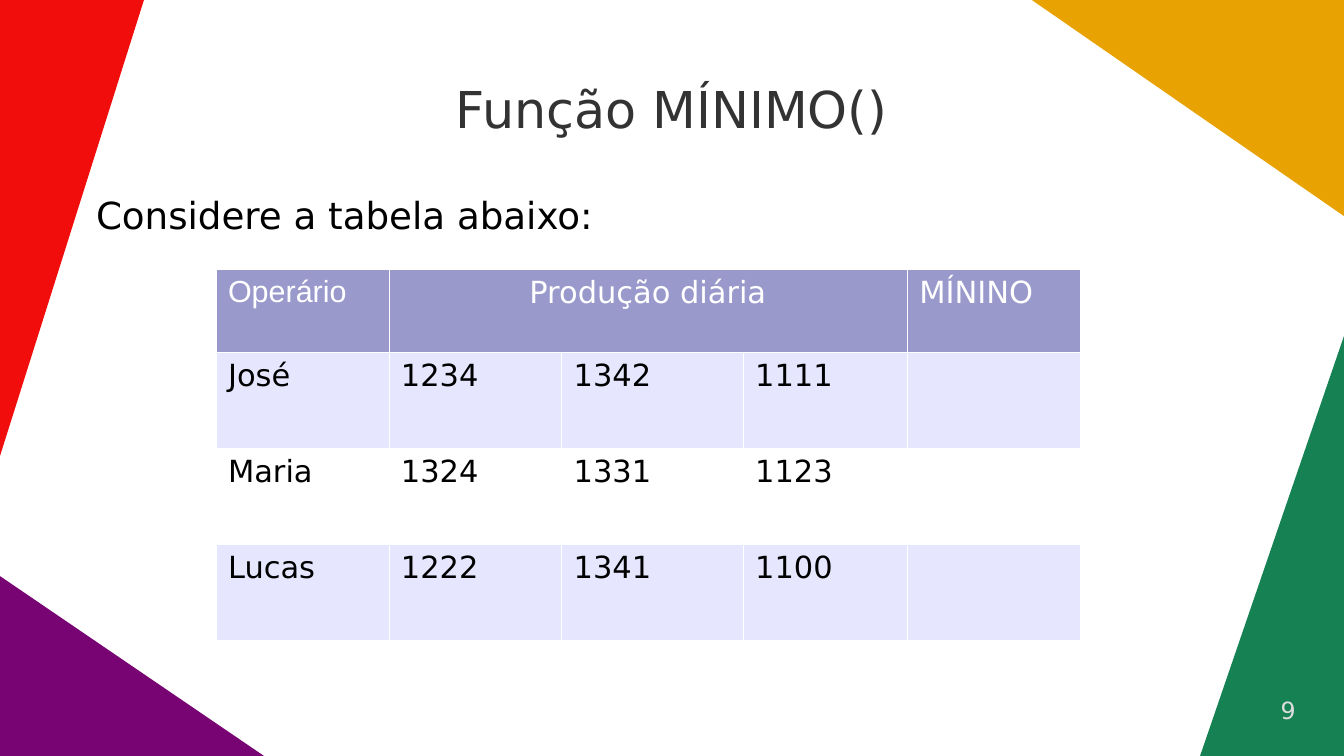
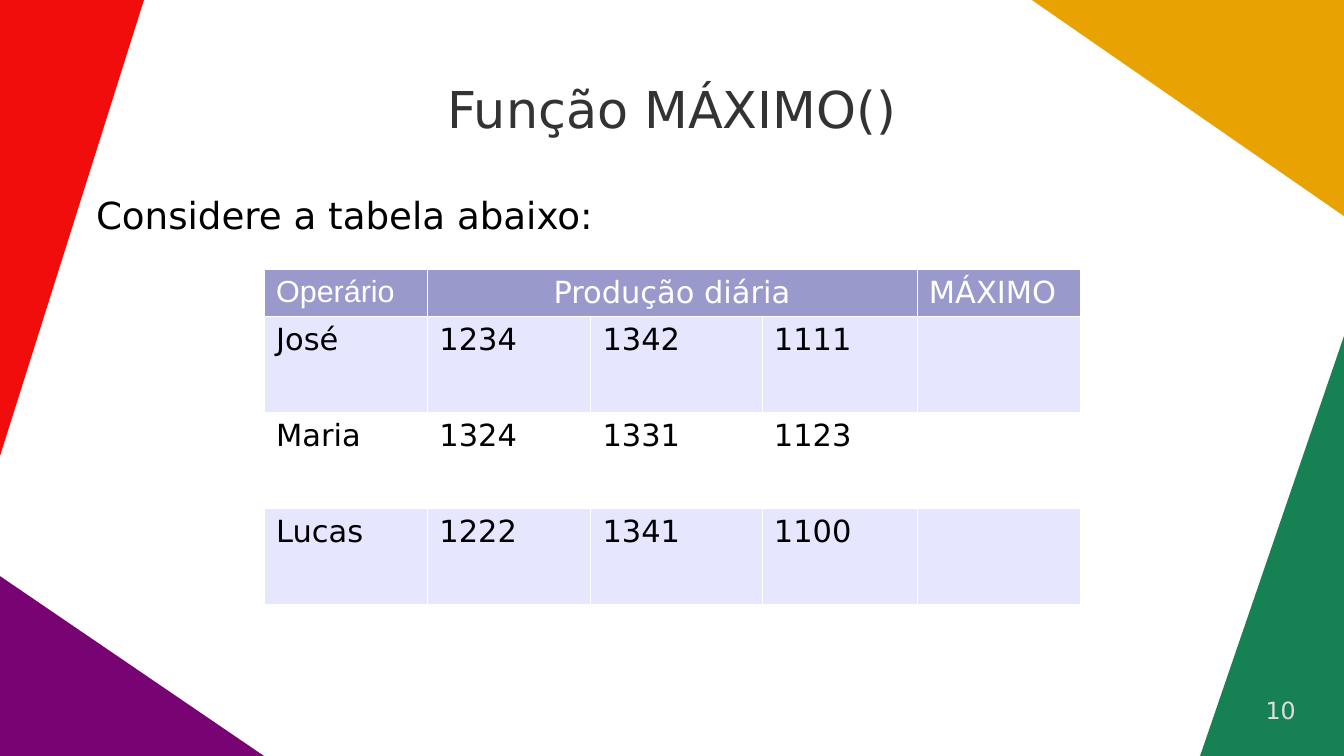
from pptx import Presentation
from pptx.dml.color import RGBColor
from pptx.enum.text import MSO_ANCHOR, MSO_AUTO_SIZE, PP_ALIGN
from pptx.oxml import parse_xml
from pptx.oxml.ns import nsdecls, qn
from pptx.util import Pt

WIDTH, HEIGHT = 793.7, 446.46
MARGIN = 56.7
CONTENT_WIDTH = WIDTH - 2 * MARGIN
FONT = "DejaVu Sans"

WHITE, BLACK = "FFFFFF", "000000"
TITLE_COLOR, NUMBER_COLOR = "333333", "DDDDDD"
HEADER_FILL, BAND_FILL = "9999CC", "E6E6FF"

CORNERS = [
    ("780373", [(0, 340.2), (0, HEIGHT), (156, HEIGHT)]),
    ("F10D0C", [(0, 0), (0, 269.3), (85, 0)]),
    ("E8A202", [(WIDTH, 0), (609.4, 0), (WIDTH, 127.6)]),
    ("168253", [(WIDTH, HEIGHT), (WIDTH, 198.4), (708.7, HEIGHT)]),
]

TABLE_TOP, TABLE_RIGHT, TABLE_HEIGHT = 158.8, 637.8, 254.2
COLUMN_SHARES = (0.2, 0.2, 0.21, 0.19, 0.2)
WORKER_ROW_HEIGHT = 56.7
PRODUCTION = [
    ("José", "1234", "1342", "1111", ""),
    ("Maria", "1324", "1331", "1123", ""),
    ("Lucas", "1222", "1341", "1100", ""),
]


def rgb(color):
    return RGBColor.from_string(color)


def style_paragraph(p, size, color, align=PP_ALIGN.LEFT, font=FONT):
    p.alignment = align
    p.font.name = font
    p.font.size = Pt(size)
    p.font.bold = False
    p.font.color.rgb = rgb(color)


def fill_frame(tf, text, size, color, align, anchor=MSO_ANCHOR.TOP):
    """Write one paragraph into a text frame without insets."""
    tf.word_wrap = True
    tf.auto_size = MSO_AUTO_SIZE.NONE
    tf.margin_left = tf.margin_right = tf.margin_top = tf.margin_bottom = 0
    tf.vertical_anchor = anchor
    tf.text = text
    style_paragraph(tf.paragraphs[0], size, color, align)


def add_text(slide, box, text, size, color, align=PP_ALIGN.LEFT):
    sp = slide.shapes.add_textbox(*map(Pt, box))
    fill_frame(sp.text_frame, text, size, color, align)


def set_title(slide, text):
    title = slide.shapes.title
    title.left, title.top = Pt(MARGIN), Pt(28.2)
    title.width, title.height = Pt(CONTENT_WIDTH), Pt(70.9)
    fill_frame(title.text_frame, text, 30, TITLE_COLOR, PP_ALIGN.CENTER,
               MSO_ANCHOR.MIDDLE)


def move_corners_to_layout(slide):
    """Build the corner triangles and hand them to the slide's layout."""
    tree = slide.slide_layout.shapes.element
    for i, (color, points) in enumerate(CORNERS):
        start, *rest = [(Pt(x), Pt(y)) for x, y in points]
        builder = slide.shapes.build_freeform(*start)
        builder.add_line_segments(rest, close=True)
        sp = builder.convert_to_shape()
        sp.shadow.inherit = False
        sp.fill.solid()
        sp.fill.fore_color.rgb = rgb(color)
        sp.line.fill.background()
        sp.element.xpath(".//p:cNvPr")[0].set("id", str(101 + i))
        tree.insert(2 + i, sp.element)


def add_borders(frame, color, width):
    for tc in frame.element.iter(qn("a:tc")):
        tcPr = tc.get_or_add_tcPr()
        for side in ("lnL", "lnR", "lnT", "lnB"):
            tcPr.append(parse_xml(
                f'<a:{side} {nsdecls("a")} w="{Pt(width)}"><a:solidFill>'
                f'<a:srgbClr val="{color}"/></a:solidFill></a:{side}>'))


def add_production_table(slide, result, width, header_height):
    rows = [("Operário", "Produção diária", "", "", result),
            *PRODUCTION, ("",) * 5]
    heights = [header_height] + [WORKER_ROW_HEIGHT] * len(PRODUCTION)
    heights.append(TABLE_HEIGHT - sum(heights))
    frame = slide.shapes.add_table(
        len(rows), len(COLUMN_SHARES), Pt(TABLE_RIGHT - width),
        Pt(TABLE_TOP), Pt(width), Pt(TABLE_HEIGHT))
    table = frame.table
    table.horz_banding = False
    add_borders(frame, WHITE, 0.06)
    for column, share in zip(table.columns, COLUMN_SHARES):
        column.width = Pt(width * share)
    for r, (height, texts) in enumerate(zip(heights, rows)):
        table.rows[r].height = Pt(height)
        fill = HEADER_FILL if r == 0 else BAND_FILL if r % 2 else WHITE
        for c, text in enumerate(texts):
            cell = table.cell(r, c)
            cell.fill.solid()
            cell.fill.fore_color.rgb = rgb(fill)
            cell.text = text
            style_paragraph(cell.text_frame.paragraphs[0], 18,
                            BLACK if r else WHITE,
                            font="Arial" if r == c == 0 else FONT)
    production = table.cell(0, 1)
    production.merge(table.cell(0, 3))
    production.text_frame.paragraphs[0].alignment = PP_ALIGN.CENTER


def add_function_slide(prs, number, title, result, width, header_height):
    slide = prs.slides.add_slide(prs.slide_layouts[5])
    set_title(slide, title)
    add_text(slide, (MARGIN, 113.4, CONTENT_WIDTH, 283.5),
             "Considere a tabela abaixo:", 22, BLACK)
    add_production_table(slide, result, width, header_height)
    add_text(slide, (581, 411, 184.3, 28.1), str(number), 14, NUMBER_COLOR,
             PP_ALIGN.RIGHT)
    return slide


def main():
    prs = Presentation()
    prs.slide_width, prs.slide_height = Pt(WIDTH), Pt(HEIGHT)
    first = add_function_slide(prs, 9, "Função MÍNIMO()", "MÍNINO", 510.3, 49)
    move_corners_to_layout(first)
    add_function_slide(prs, 10, "Função MÁXIMO()", "MÁXIMO", 481.9, 28.1)
    prs.save("out.pptx")


if __name__ == "__main__":
    main()
